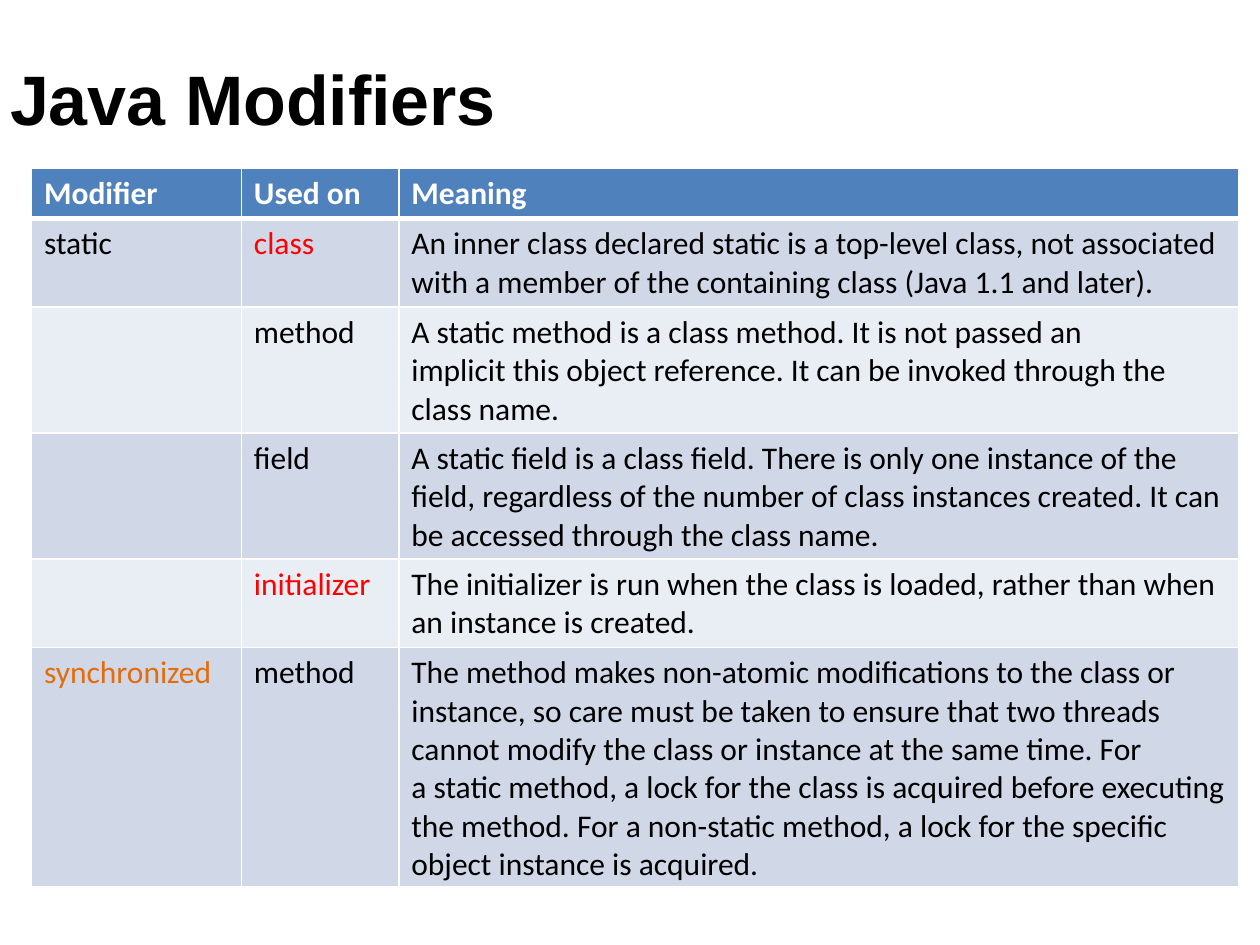
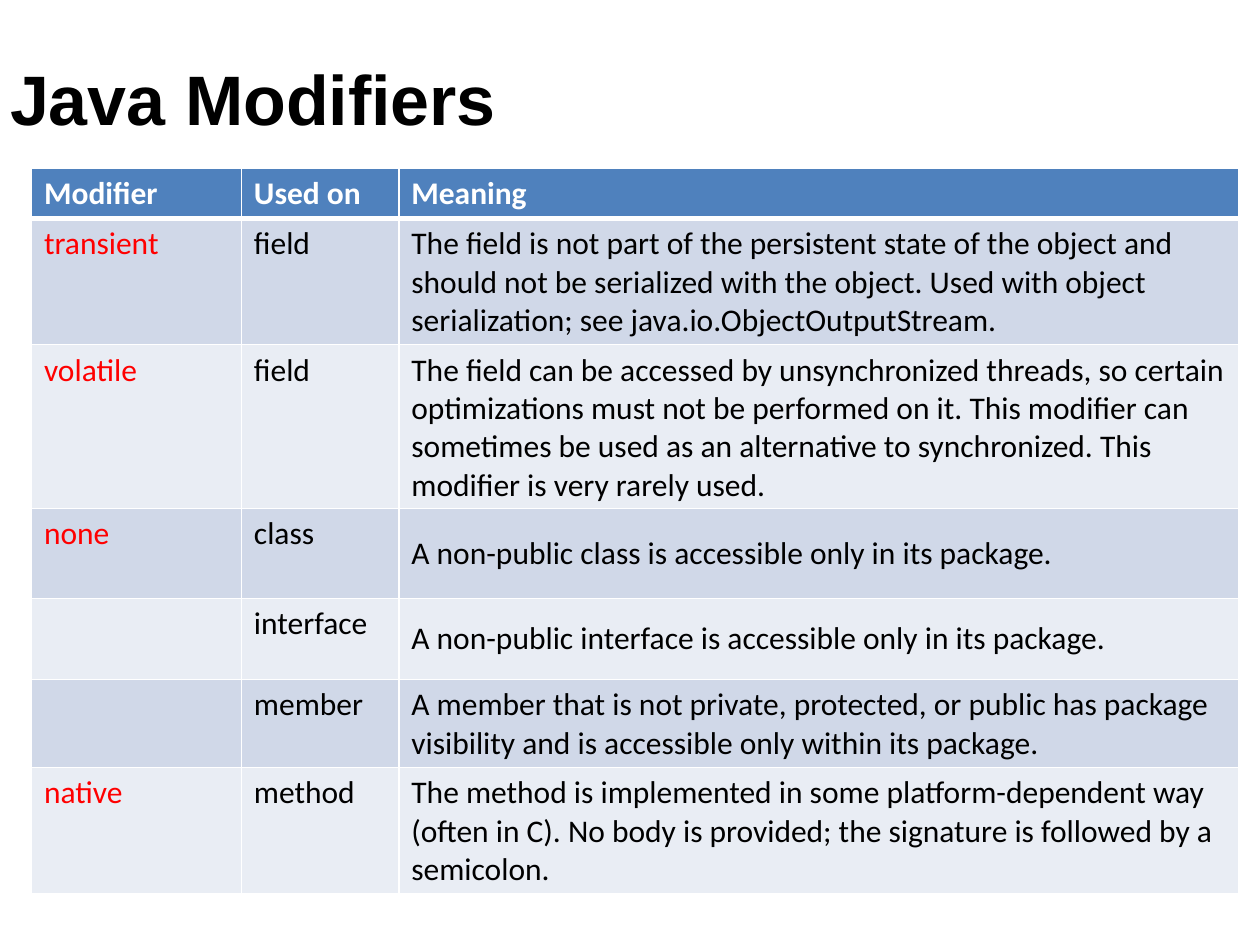
from dataclasses import dataclass
from typing import NamedTuple

from lxml import etree
from pptx import Presentation
from pptx import util as u
from pptx.dml.color import RGBColor
from pptx.enum import text
from pptx.oxml import ns


@dataclass(frozen=True)
class Theme:
    title_font: str = "Arial"
    table_font: str = "Calibri"
    title_size: int = 40
    table_size: int = 18
    black: str = "000000"
    white: str = "FFFFFF"
    red: str = "FF0000"
    orange: str = "E46C0A"
    header: str = "4F81BD"
    bands: tuple = ("D0D8E8", "E9EDF4")
    thin: int = 1
    thick: int = 3


class Box(NamedTuple):
    left: int
    top: int
    width: int
    height: int


class Entry(NamedTuple):
    modifier: str
    used_on: str
    meaning: str
    lines: float
    modifier_color: str = Theme.black
    used_on_color: str = Theme.black
    anchor: text.MSO_ANCHOR = text.MSO_ANCHOR.MIDDLE


THEME = Theme()
TOP = text.MSO_ANCHOR.TOP
SLIDE_WIDTH, SLIDE_HEIGHT = u.Inches(10), u.Inches(7.5)
TITLE = "Java Modifiers"
HEADINGS = ("Modifier", "Used on", "Meaning")
COLUMN_SHARES = (8, 6, 32)
ROW_PADDING, LINE_HEIGHT = u.Inches(0.1), u.Inches(0.3)
HARD_SPACE = chr(160)

STATIC_AND_SYNCHRONIZED = (
    Entry("static", "class",
          "An inner class declared~static~is a top-level class, not associated with a member "
          "of the containing class (Java 1.1 and later).", 2, used_on_color=THEME.red),
    Entry("", "method",
          "A~static~method is a class method. It is not passed an implicit~this~object "
          "reference. It can be invoked through the class name.", 3, anchor=TOP),
    Entry("", "field",
          "A~static~field is a class field. There is only one instance of the field, "
          "regardless of the number of class instances created. It can be accessed through "
          "the class name.", 3),
    Entry("", "initializer",
          "The initializer is run when the class is loaded, rather than when an instance is "
          "created.", 2, used_on_color=THEME.red),
    Entry("synchronized", "method",
          "The method makes non-atomic modifications to the class or instance, so care must "
          "be taken to ensure that two threads cannot modify the class or instance at the "
          "same time. For a~static~method, a lock for the class is acquired before executing "
          "the method. For a non-static~method, a lock for the specific object instance is "
          "acquired.", 6, THEME.orange),
)

TRANSIENT_TO_NATIVE = (
    Entry("transient", "field",
          "The field is not part of the persistent state of the object and should not be "
          "serialized with the object. Used with object serialization; "
          "see~java.io.ObjectOutputStream.", 3, THEME.red),
    Entry("volatile", "field",
          "The field can be accessed by unsynchronized threads, so certain optimizations "
          "must not be performed on it. This modifier can sometimes be used as an "
          "alternative to~synchronized. This modifier is very rarely used.", 4, THEME.red,
          anchor=TOP),
    Entry("none", "class",
          "A non-public~class is accessible only in its package.", 2.05, THEME.red),
    Entry("", "interface",
          "A non-public~interface is accessible only in its package.", 1.8),
    Entry("", "member",
          "A member that is not~private,~protected, or~public~has package visibility and is "
          "accessible only within its package.", 2),
    Entry("native", "method",
          "The method is implemented in some platform-dependent way (often in C). No body is "
          "provided; the signature is followed by a semicolon.", 3, THEME.red),
)


def share_box(left, top, width, height):
    return Box(int(SLIDE_WIDTH * left), int(SLIDE_HEIGHT * top),
               int(SLIDE_WIDTH * width), int(SLIDE_HEIGHT * height))


def style_font(font, name, size, color, bold):
    font.name = name
    font.size = u.Pt(size)
    font.bold = bold
    font.color.rgb = RGBColor.from_string(color)


def set_borders(cell, widths):
    properties = cell._tc.get_or_add_tcPr()
    for index, (side, width) in enumerate(widths.items()):
        line = etree.Element(ns.qn(f"a:ln{side}"), w=str(u.Pt(width)))
        fill = etree.SubElement(line, ns.qn("a:solidFill"))
        etree.SubElement(fill, ns.qn("a:srgbClr"), val=THEME.white)
        properties.insert(index, line)


def fill_cell(cell, words, color, fill, bold=False, anchor=TOP, top=THEME.thin,
              bottom=THEME.thin):
    cell.text_frame.text = words.replace("~", HARD_SPACE)
    para = cell.text_frame.paragraphs[0]
    for holder in para.runs or [para]:
        style_font(holder.font, THEME.table_font, THEME.table_size, color, bold)
    cell.vertical_anchor = anchor
    cell.fill.solid()
    cell.fill.fore_color.rgb = RGBColor.from_string(fill)
    set_borders(cell, {"L": THEME.thin, "R": THEME.thin, "T": top, "B": bottom})


def place_title(page, box):
    title = page.shapes.title
    title.left, title.top, title.width, title.height = box
    frame = title.text_frame
    frame.margin_left = frame.margin_right = frame.margin_top = frame.margin_bottom = 0
    frame.auto_size = text.MSO_AUTO_SIZE.SHAPE_TO_FIT_TEXT
    frame.text = TITLE
    para = frame.paragraphs[0]
    para.alignment = text.PP_ALIGN.LEFT
    style_font(para.runs[0].font, THEME.title_font, THEME.title_size, THEME.black, True)


def place_modifier_table(page, box, entries):
    table = page.shapes.add_table(len(entries) + 1, len(HEADINGS), *box).table
    for column, share in zip(table.columns, COLUMN_SHARES):
        column.width = int(box.width * share / sum(COLUMN_SHARES))
    for row, lines in zip(table.rows, [1] + [entry.lines for entry in entries]):
        row.height = int(ROW_PADDING + LINE_HEIGHT * lines)

    for column, heading in enumerate(HEADINGS):
        fill_cell(table.cell(0, column), heading, THEME.white, THEME.header, bold=True,
                  bottom=THEME.thick)
    for number, entry in enumerate(entries, start=1):
        band = THEME.bands[(number - 1) % 2]
        top = THEME.thick if number == 1 else THEME.thin
        parts = ((entry.modifier, entry.modifier_color, TOP),
                 (entry.used_on, entry.used_on_color, TOP),
                 (entry.meaning, THEME.black, entry.anchor))
        for column, (words, color, anchor) in enumerate(parts):
            fill_cell(table.cell(number, column), words, color, band, anchor=anchor, top=top)


def add_modifier_page(deck, entries):
    page = deck.slides.add_slide(deck.slide_layouts.get_by_name("Title Only"))
    place_title(page, share_box(0.008, 0.059, 0.984, 0.089))
    place_modifier_table(page, share_box(0.025, 0.178, 0.958, 0.76), entries)


def main():
    deck = Presentation()
    deck.slide_width, deck.slide_height = SLIDE_WIDTH, SLIDE_HEIGHT
    for entries in (STATIC_AND_SYNCHRONIZED, TRANSIENT_TO_NATIVE):
        add_modifier_page(deck, entries)
    deck.save("out.pptx")


if __name__ == "__main__":
    main()
